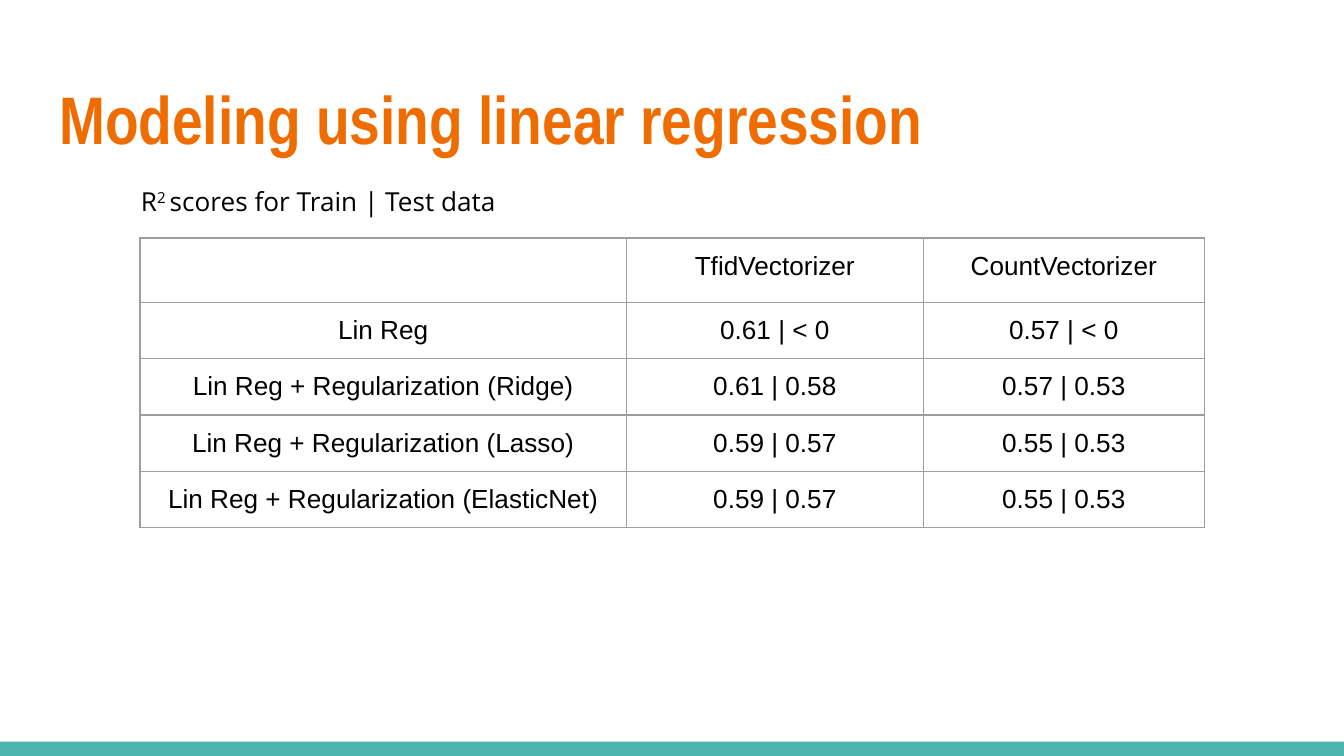
from pptx import Presentation
from pptx.dml.color import RGBColor
from pptx.enum import shapes, text
from pptx.oxml import parse_xml
from pptx.oxml.ns import nsdecls
from pptx.util import Pt

ROWS = [
    ("", "TfidVectorizer", "CountVectorizer"),
    ("Lin Reg", "0.61 | < 0", "0.57 | < 0"),
    ("Lin Reg + Regularization (Ridge)", "0.61 | 0.58", "0.57 | 0.53"),
    ("Lin Reg + Regularization (Lasso)", "0.59 | 0.57", "0.55 | 0.53"),
    ("Lin Reg + Regularization (ElasticNet)", "0.59 | 0.57", "0.55 | 0.53"),
]
COL_WIDTHS = (260.6, 159.1, 150.5)
ROW_HEIGHTS = (34.5,) + (30.2,) * 4
INSET = Pt(7.2)


def color(hex_string):
    return RGBColor.from_string(hex_string)


def set_font(p, name, size, hex_string, bold=False):
    f = p.font
    f.name, f.size, f.bold = name, Pt(size), bold
    f.color.rgb = color(hex_string)


def set_insets(item):
    item.margin_left = item.margin_right = INSET
    item.margin_top = item.margin_bottom = INSET


def add_footer_bar(s, x, y, w, h):
    sp = s.shapes.add_shape(shapes.MSO_SHAPE.RECTANGLE, Pt(x), Pt(y), Pt(w), Pt(h))
    sp.shadow.inherit = False
    sp.fill.solid()
    sp.fill.fore_color.rgb = color("4DB6AC")
    sp.line.fill.background()


def set_title(s, x, y, w, h):
    sp = s.shapes.title
    sp.left, sp.top, sp.width, sp.height = Pt(x), Pt(y), Pt(w), Pt(h)
    tf = sp.text_frame
    set_insets(tf)
    tf.auto_size = text.MSO_AUTO_SIZE.NONE
    tf.vertical_anchor = text.MSO_ANCHOR.MIDDLE
    p = tf.paragraphs[0]
    p.text = "Modeling using linear regression"
    p.alignment = text.PP_ALIGN.LEFT
    set_font(p, "Arial Narrow", 36, "EF6C00", True)


def add_caption(s, x, y, w, h):
    tf = s.shapes.add_textbox(Pt(x), Pt(y), Pt(w), Pt(h)).text_frame
    tf.word_wrap = True
    set_insets(tf)
    p = tf.paragraphs[0]
    set_font(p, "Open Sans", 14, "000000")
    for part, baseline in (("R", 0), ("2 ", 30000), ("scores for Train | Test data", 0)):
        r = p.add_run()
        r.text = part
        if baseline:
            r.font._element.set("baseline", str(baseline))


def set_borders(cell, hex_string, width):
    tcPr = cell._tc.get_or_add_tcPr()
    for i, side in enumerate(("lnL", "lnR", "lnT", "lnB")):
        tcPr.insert(i, parse_xml(
            f'<a:{side} {nsdecls("a")} w="{Pt(width)}"><a:solidFill>'
            f'<a:srgbClr val="{hex_string}"/></a:solidFill></a:{side}>'))


def add_score_table(s, x, y):
    table = s.shapes.add_table(
        len(ROWS), len(COL_WIDTHS), Pt(x), Pt(y),
        Pt(sum(COL_WIDTHS)), Pt(sum(ROW_HEIGHTS))).table
    table.first_row = table.horz_banding = False
    for col, w in zip(table.columns, COL_WIDTHS):
        col.width = Pt(w)
    for row, h, values in zip(table.rows, ROW_HEIGHTS, ROWS):
        row.height = Pt(h)
        for cell, value in zip(row.cells, values):
            set_insets(cell)
            cell.fill.background()
            set_borders(cell, "9E9E9E", 0.75)
            p = cell.text_frame.paragraphs[0]
            p.text = value
            p.alignment = text.PP_ALIGN.CENTER
            set_font(p, "Arial", 14, "000000")


def main():
    prs = Presentation()
    prs.slide_width, prs.slide_height = Pt(720), Pt(405)
    s = prs.slides.add_slide(prs.slide_layouts[5])
    add_footer_bar(s, 0, 397.3, 720, 7.7)
    set_title(s, 24.5, 35.3, 671, 55.4)
    add_score_table(s, 75, 127.5)
    add_caption(s, 68.4, 92.2, 213, 29.5)
    prs.save("out.pptx")


if __name__ == "__main__":
    main()
